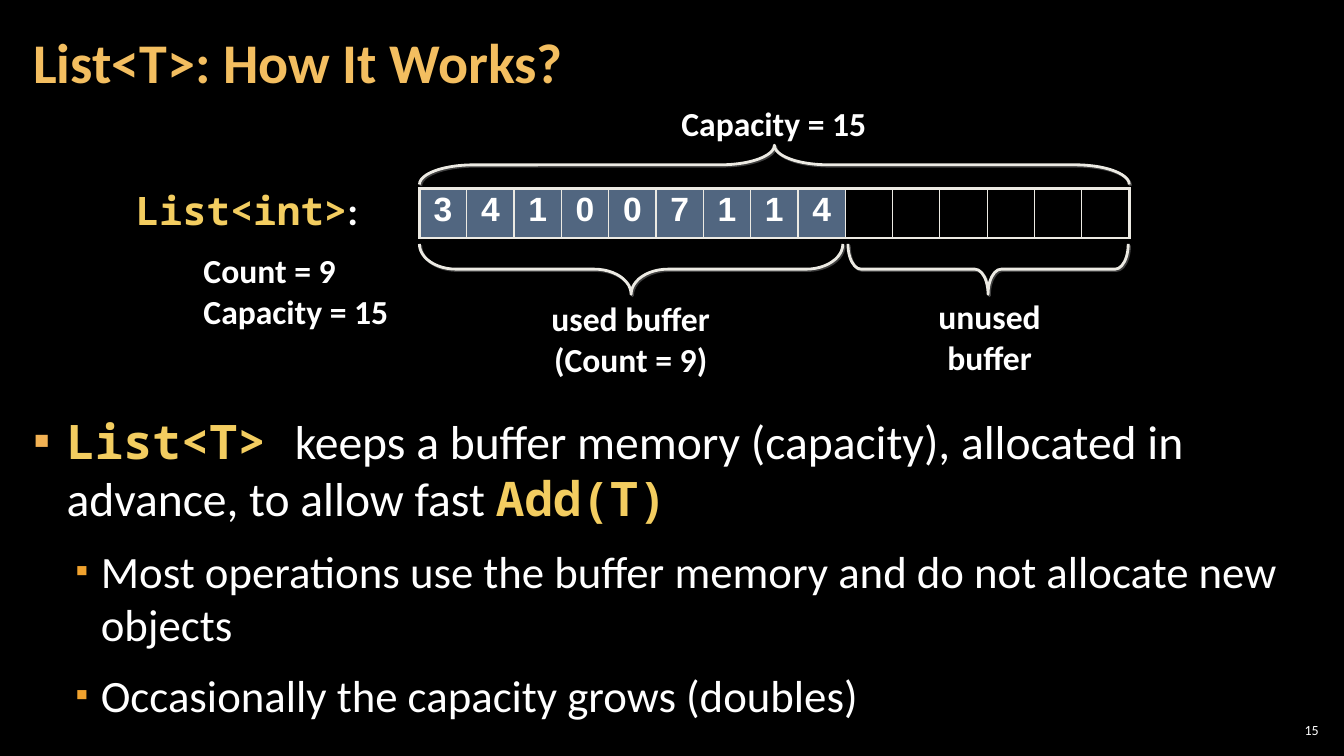
from lxml import etree
from pptx import Presentation
from pptx.dml.color import RGBColor
from pptx.enum import shapes, text
from pptx.oxml import ns
from pptx.util import Emu, Inches, Pt

BLACK = RGBColor(0x00, 0x00, 0x00)
WHITE = RGBColor(0xFF, 0xFF, 0xFF)
TITLE_GOLD = RGBColor(0xF3, 0xBE, 0x60)
CODE_YELLOW = RGBColor(0xF3, 0xCD, 0x60)
BULLET_GOLD = RGBColor(0xF2, 0xB2, 0x54)
BULLET_ORANGE = RGBColor(0xF0, 0xA2, 0x2E)
OUTLINE = RGBColor(0xEC, 0xEA, 0xE3)
USED_BLUE = RGBColor(0xA3, 0xCD, 0xFF)
SHADOW_GREY = RGBColor(0x40, 0x40, 0x40)

BODY_FONT = "Calibri"
CODE_FONT = "Noto Sans Mono"
DIGIT_FONT = "Arial"

VALUES = [3, 4, 1, 0, 0, 7, 1, 1, 4]
CAPACITY = 15


def add_xml(parent, tag, **attributes):
    return etree.SubElement(parent, ns.qn(tag), attributes)


def add_color(parent, color):
    return add_xml(parent, "a:srgbClr", val=str(color))


def add_run(paragraph, words, size, font=BODY_FONT, color=WHITE, bold=True):
    run = paragraph.add_run()
    run.text = words
    run.font.name = font
    run.font.size = Pt(size)
    run.font.bold = bold
    run.font.color.rgb = color


def add_text_box(slide, box, wrap=True, side=0.1, edge=0.05, anchor=text.MSO_ANCHOR.TOP):
    frame = slide.shapes.add_textbox(*map(Inches, box)).text_frame
    frame.word_wrap = wrap
    frame.margin_left = frame.margin_right = Inches(side)
    frame.margin_top = frame.margin_bottom = Inches(edge)
    frame.vertical_anchor = anchor
    return frame


def set_bullet(paragraph, margin, hanging, color, percent):
    properties = paragraph._p.get_or_add_pPr()
    properties.set("marL", str(Inches(margin)))
    properties.set("indent", str(-Inches(hanging)))
    add_color(add_xml(properties, "a:buClr"), color)
    add_xml(properties, "a:buSzPct", val=str(percent * 1000))
    add_xml(properties, "a:buFont", typeface=BODY_FONT)
    add_xml(properties, "a:buChar", char="▪")


def add_title(slide, box):
    frame = add_text_box(slide, box, side=0.12, edge=0.04, anchor=text.MSO_ANCHOR.MIDDLE)
    frame.paragraphs[0].line_spacing = 0.9
    add_run(frame.paragraphs[0], "List<T>: How It Works?", 40, color=TITLE_GOLD)


def add_body(slide, box):
    frame = add_text_box(slide, box, side=0.12, edge=0.04)
    main = frame.paragraphs[0]
    add_run(main, "List<T> ", 34, CODE_FONT, CODE_YELLOW)
    add_run(main, "keeps a buffer memory (capacity), allocated in advance, to allow fast ",
            34, bold=False)
    add_run(main, "Add(T)", 34, CODE_FONT, CODE_YELLOW)
    for point in ("Most operations use the buffer memory and do not allocate new objects",
                  "Occasionally the capacity grows (doubles)"):
        paragraph = frame.add_paragraph()
        paragraph.level = 1
        add_run(paragraph, point, 32, bold=False)
    for paragraph in frame.paragraphs:
        paragraph.space_before = paragraph.space_after = Pt(6)
        if paragraph.level:
            set_bullet(paragraph, 0.67, 0.25, BULLET_ORANGE, 80)
        else:
            set_bullet(paragraph, 0.33, 0.33, BULLET_GOLD, 100)


def add_slide_number(slide, box):
    frame = add_text_box(slide, box, side=0.04, edge=0.04, anchor=text.MSO_ANCHOR.MIDDLE)
    frame.paragraphs[0].alignment = text.PP_ALIGN.RIGHT
    add_run(frame.paragraphs[0], "15", 10, bold=False)


def set_borders(cell, widths):
    properties = cell._tc.get_or_add_tcPr()
    for position, (side, width) in enumerate(widths.items()):
        line = add_xml(properties, f"a:ln{side}", w=str(Pt(width)))
        add_color(add_xml(line, "a:solidFill"), OUTLINE)
        properties.insert(position, line)  # borders come before the fill


def add_buffer_cells(slide, box):
    table = slide.shapes.add_table(1, CAPACITY, *map(Inches, box)).table
    table.first_row = table.horz_banding = False
    for index in range(CAPACITY):
        table.columns[index].width = Emu(Inches(box[2]) // CAPACITY)
        cell = table.cell(0, index)
        if index < len(VALUES):
            paragraph = cell.text_frame.paragraphs[0]
            paragraph.alignment = text.PP_ALIGN.CENTER
            paragraph.line_spacing = 0.95
            add_run(paragraph, str(VALUES[index]), 24, DIGIT_FONT)
            cell.fill.solid()
            cell.fill.fore_color.rgb = USED_BLUE
            color = cell._tc.tcPr.find(".//" + ns.qn("a:srgbClr"))
            add_xml(color, "a:alpha", val="50000")
        else:
            cell.fill.background()
        set_borders(cell, {"L": 2.25 if index == 0 else 1,
                           "R": 2.25 if index == CAPACITY - 1 else 1,
                           "T": 2.25, "B": 2.25})


def add_brace(slide, box, rotation, curve):
    """Draw a horizontal brace that fills the box: 90 points up, 270 down."""
    left, top, width, height = box
    shift = (width - height) / 2
    brace = slide.shapes.add_shape(
        shapes.MSO_SHAPE.LEFT_BRACE, Inches(left + shift), Inches(top - shift),
        Inches(height), Inches(width))
    brace.rotation = rotation
    brace.adjustments[0] = curve
    brace.adjustments[1] = 0.5
    brace.fill.background()
    brace.line.color.rgb = OUTLINE
    brace.line.width = Pt(2)
    brace.shadow.inherit = False
    effects = brace._element.spPr.find(ns.qn("a:effectLst"))
    shadow = add_xml(effects, "a:outerShdw", dist=str(Pt(1.4)), dir="2700000")
    add_color(shadow, SHADOW_GREY)


def add_label(slide, box, lines, wrap=True):
    frame = add_text_box(slide, box, wrap)
    frame.auto_size = text.MSO_AUTO_SIZE.SHAPE_TO_FIT_TEXT
    for index, line in enumerate(lines):
        paragraph = frame.add_paragraph() if index else frame.paragraphs[0]
        paragraph.alignment = text.PP_ALIGN.CENTER
        add_run(paragraph, line, 24)


def add_list_summary(slide, box):
    frame = add_text_box(slide, box, wrap=False)
    frame.auto_size = text.MSO_AUTO_SIZE.SHAPE_TO_FIT_TEXT
    add_run(frame.paragraphs[0], "List<int>", 28, CODE_FONT, CODE_YELLOW)
    add_run(frame.paragraphs[0], ":", 28)
    for line, space in (("Count = 9", 12), ("Capacity = 15", 0)):
        paragraph = frame.add_paragraph()
        paragraph.level = 1
        paragraph.space_before = Pt(space)
        paragraph._p.get_or_add_pPr().set("marL", str(Inches(0.67)))
        add_run(paragraph, line, 24)


def add_buffer_diagram(slide, box):
    left, top, width, height = box
    below = top + height + 0.06
    add_buffer_cells(slide, box)
    # Braces over the whole buffer and under its two parts
    add_brace(slide, (left, top - 0.43, width, 0.39), 90, 1.38)
    add_brace(slide, (left, below, 4.2, 0.5), 270, 0.73)
    add_brace(slide, (left + 4.25, below, 2.78, 0.5), 270, 0.26)
    # Labels at the brace tips
    add_label(slide, (left + 2.49, top - 0.9, 2.05, 0.5), ["Capacity = 15"], wrap=False)
    add_label(slide, (left + 0.93, below + 0.49, 2.33, 0.91), ["used buffer", "(Count = 9)"])
    add_label(slide, (left + 4.82, below + 0.47, 1.67, 0.94), ["unused buffer"])


def main():
    presentation = Presentation()
    presentation.slide_width = Inches(13.33)
    presentation.slide_height = Inches(7.5)
    slide = presentation.slides.add_slide(presentation.slide_layouts[6])
    slide.background.fill.solid()
    slide.background.fill.fore_color.rgb = BLACK

    add_slide_number(slide, (12.65, 7.14, 0.47, 0.21))
    add_body(slide, (0.21, 4.05, 12.91, 3.3))
    add_title(slide, (0.21, 0.04, 10.47, 1.21))
    add_buffer_diagram(slide, (4.16, 1.87, 7.04, 0.49))
    add_list_summary(slide, (1.25, 1.8, 2.73, 1.55))
    presentation.save("out.pptx")


if __name__ == "__main__":
    main()
